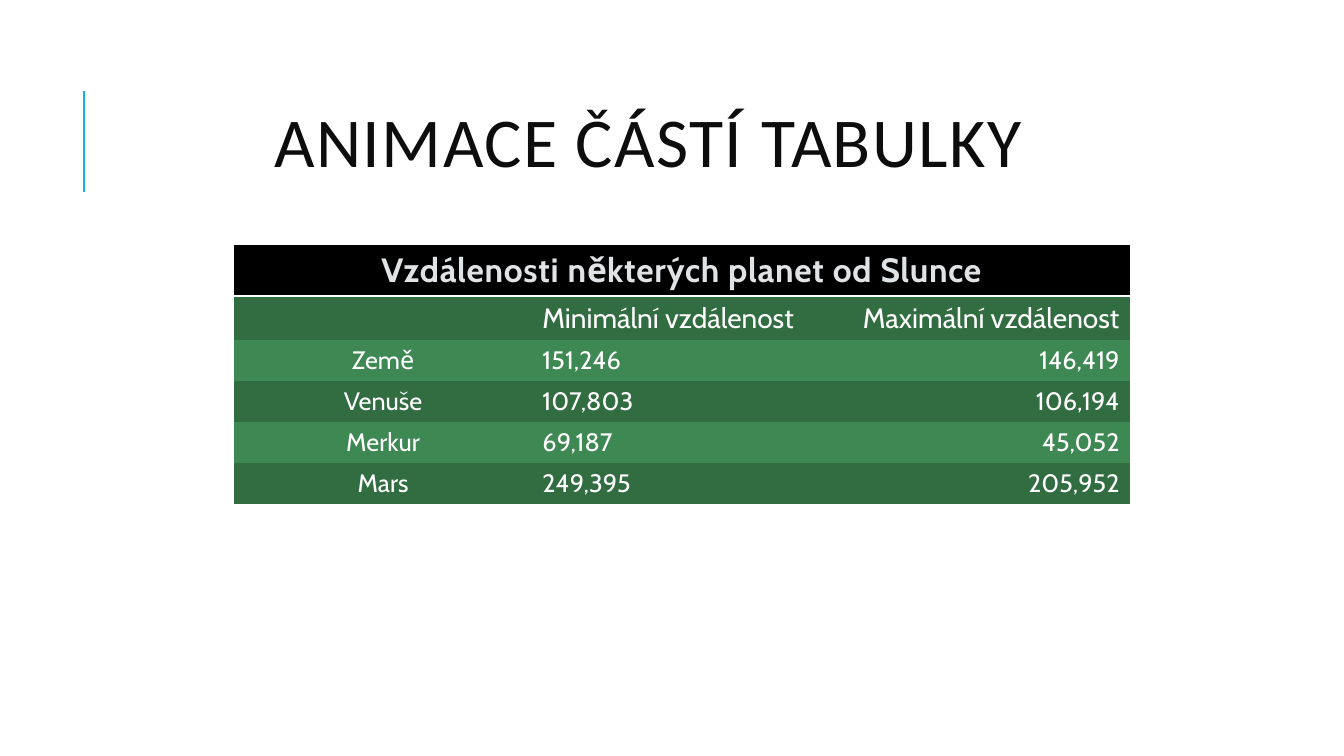
import pptx
import pptx.util
import pptx.dml.color
import pptx.enum.shapes
import pptx.enum.text
import pptx.oxml
import pptx.oxml.ns

Pt = pptx.util.Pt
ALIGN = pptx.enum.text.PP_ALIGN

TITLE = "ANIMACE ČÁSTÍ TABULKY"
CAPTION = "Vzdálenosti některých planet od Slunce"
HEADINGS = ("", "Minimální vzdálenost", "Maximální vzdálenost")
PLANETS = [
    ("Země", "151,246", "146,419"),
    ("Venuše", "107,803", "106,194"),
    ("Merkur", "69,187", "45,052"),
    ("Mars", "249,395", "205,952"),
]
COLORS = {
    "accent": "1CADE4", "title": "0D0D0D", "caption": "DFE3E5",
    "caption fill": "000000", "dark": "326D42", "light": "3E8853", "white": "FFFFFF",
}
TITLE_FORMAT = {"name": "Calibri", "size": Pt(50), "bold": False}
CAPTION_FORMAT = {"name": "Cabin", "size": Pt(24), "bold": True}
HEADING_FORMAT = {"name": "Cabin", "size": Pt(20), "bold": False}
PLANET_FORMAT = {"name": "Cabin", "size": Pt(18), "bold": False}
COLUMN_ALIGN = (ALIGN.CENTER, ALIGN.LEFT, ALIGN.RIGHT)

TABLE_LEFT, TABLE_TOP, TABLE_WIDTH = 167, 175, 640
CAPTION_HEIGHT, HEADING_HEIGHT, PLANET_HEIGHT = 36.5, 31.5, 29.25
NO_STYLE_NO_GRID = "{2D5ABB26-0587-4C30-8999-92F81FD0307C}"


def rgb(name):
    return pptx.dml.color.RGBColor.from_string(COLORS[name])


def write(frame, text, formats, color, align, spacing=0):
    """Put one line in a text frame; spacing is in points between letters."""
    paragraph = frame.paragraphs[0]
    paragraph.alignment = align
    run = paragraph.add_run()
    run.text = text
    for key, value in formats.items():
        setattr(run.font, key, value)
    run.font.color.rgb = rgb(color)
    if spacing:
        run.font._element.set("spc", str(int(spacing * 100)))
    return paragraph


def fill_cell(cell, color):
    cell.fill.solid()
    cell.fill.fore_color.rgb = rgb(color)


def underline_cell(cell, color, width):
    border = pptx.oxml.parse_xml(
        f'<a:lnB {pptx.oxml.ns.nsdecls("a")} w="{Pt(width)}"><a:solidFill>'
        f'<a:srgbClr val="{COLORS[color]}"/></a:solidFill></a:lnB>')
    cell._tc.get_or_add_tcPr().insert(0, border)


def add_title(slide):
    accent = slide.shapes.add_connector(
        pptx.enum.shapes.MSO_CONNECTOR.STRAIGHT, Pt(60), Pt(136.8), Pt(60), Pt(65))
    accent.line.color.rgb = rgb("accent")
    accent.line.width = Pt(1.5)
    accent._element.spPr.append(
        pptx.oxml.parse_xml(f'<a:effectLst {pptx.oxml.ns.nsdecls("a")}/>'))

    title = slide.shapes.add_textbox(Pt(80.6), Pt(46), Pt(765.4), Pt(118)).text_frame
    title.word_wrap = True
    title.vertical_anchor = pptx.enum.text.MSO_ANCHOR.MIDDLE
    write(title, TITLE, TITLE_FORMAT, "title", ALIGN.CENTER, 1).line_spacing = 0.8


def add_distances(slide):
    heights = [CAPTION_HEIGHT, HEADING_HEIGHT] + [PLANET_HEIGHT] * len(PLANETS)
    frame = slide.shapes.add_table(
        len(heights), len(HEADINGS), Pt(TABLE_LEFT), Pt(TABLE_TOP),
        Pt(TABLE_WIDTH), Pt(sum(heights)))
    distances = frame.table
    distances.horz_banding = False
    distances._tbl.tblPr.find(pptx.oxml.ns.qn("a:tableStyleId")).text = NO_STYLE_NO_GRID
    for row, height in zip(distances.rows, heights):
        row.height = Pt(height)

    for cell in distances.rows[0].cells:
        fill_cell(cell, "caption fill")
        underline_cell(cell, "white", 2)
    caption = distances.cell(0, 0)
    caption.merge(distances.cell(0, len(HEADINGS) - 1))
    write(caption.text_frame, CAPTION, CAPTION_FORMAT, "caption", ALIGN.CENTER, 0.5)

    for r, texts in enumerate([HEADINGS] + PLANETS, start=1):
        formats = HEADING_FORMAT if r == 1 else PLANET_FORMAT
        for c, text in enumerate(texts):
            cell = distances.cell(r, c)
            fill_cell(cell, "dark" if r % 2 else "light")
            if text:
                write(cell.text_frame, text, formats, "white", COLUMN_ALIGN[c])


def main():
    presentation = pptx.Presentation()
    presentation.slide_width, presentation.slide_height = Pt(960), Pt(540)
    slide = presentation.slides.add_slide(presentation.slide_layouts[6])
    add_title(slide)
    add_distances(slide)
    presentation.save("out.pptx")


if __name__ == "__main__":
    main()
